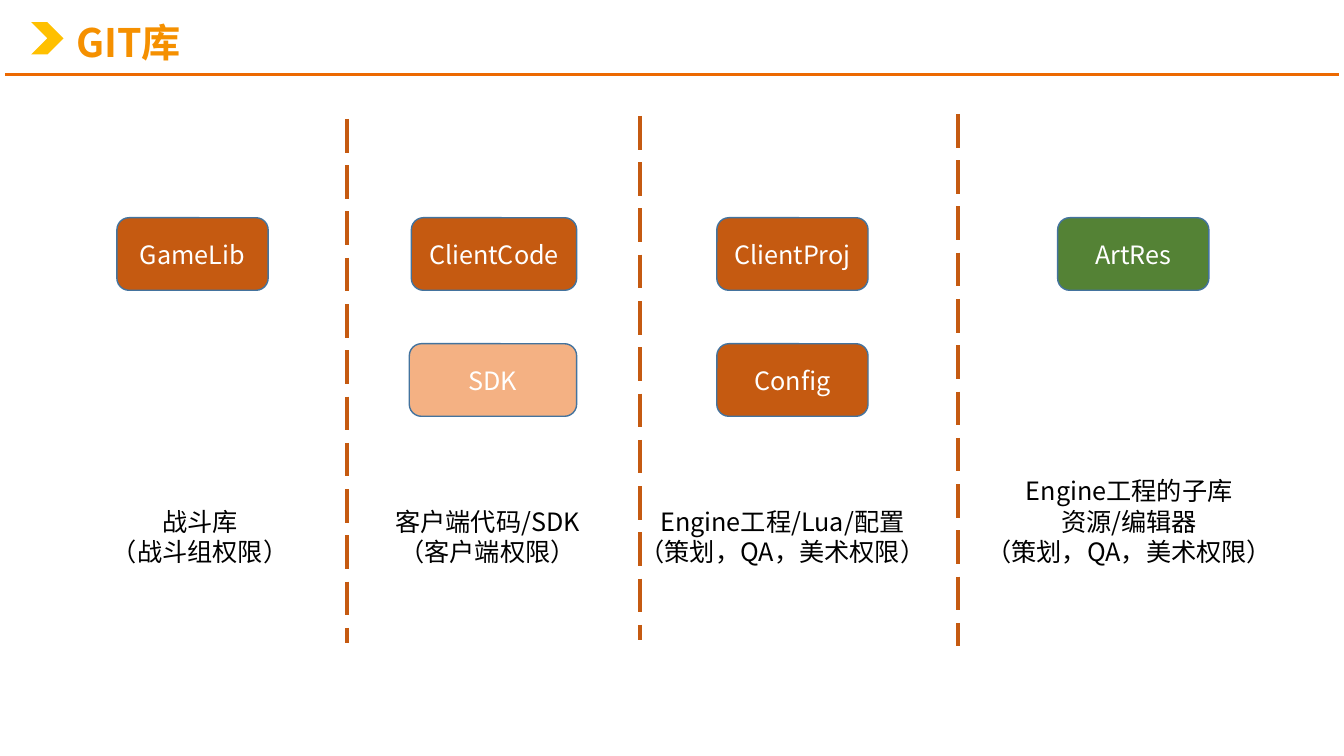
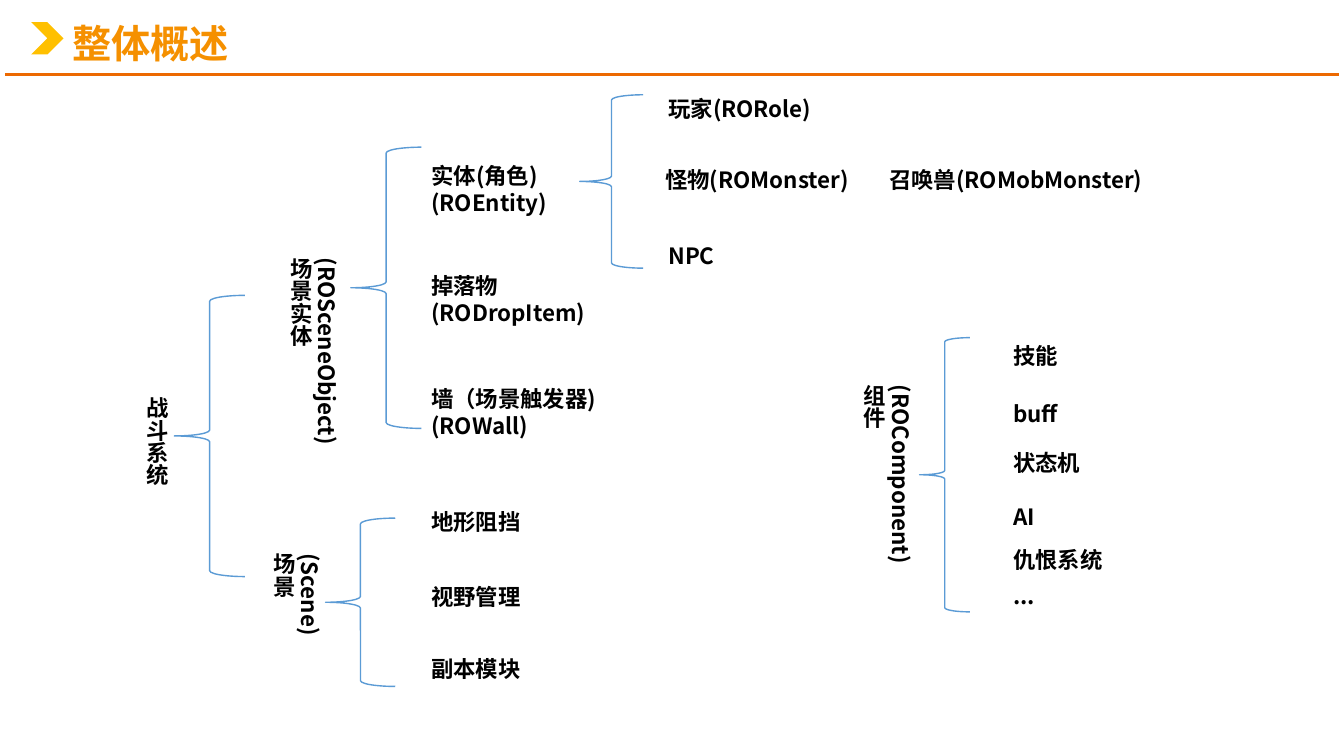
from pptx import Presentation
from pptx.dml.color import RGBColor as RGB
from pptx.enum.dml import MSO_LINE as Dash
from pptx.enum.shapes import MSO_CONNECTOR as Conn, MSO_SHAPE as Kind
from pptx.enum.text import MSO_ANCHOR as Anchor, PP_ALIGN as Align
from pptx.oxml.ns import qn
from pptx.util import Inches, Pt
from lxml.etree import SubElement

FACE = "Noto Sans CJK SC"
HUES = {
    "title": "F59000", "rule": "EC6901", "mark": "FFC000",
    "repo": "C55A11", "sdk": "F4B183", "art": "548235",
    "edge": "43739E", "brace": "5B9BD5", "text": "000000", "white": "FFFFFF",
}
STYLES = {
    "title": ({"size": Pt(28), "bold": True}, "title", {"line_spacing": 0.9}),
    "repo": ({"size": Pt(18)}, "white", {"alignment": Align.CENTER}),
    "note": ({"size": Pt(18)}, "text", {"alignment": Align.CENTER}),
    "node": ({"size": Pt(16), "bold": True}, "text", {"alignment": Align.LEFT}),
}

ROWS = (2.16, 3.41)
REPOS = [
    ("GameLib", 1.16, 0, 1.5, "repo"),
    ("ClientCode", 4.08, 0, 1.64, "repo"),
    ("SDK", 4.06, 1, 1.66, "sdk"),
    ("ClientProj", 7.11, 0, 1.5, "repo"),
    ("Config", 7.11, 1, 1.5, "repo"),
    ("ArtRes", 10.49, 0, 1.5, "art"),
]
WALLS = [(3.44, 1.18, 6.38), (6.35, 1.15, 6.35), (9.5, 1.13, 6.41)]
NOTES = [
    (["战斗库", "（战斗组权限）"], 1, 4.97, 1.97),
    (["客户端代码/SDK", "（客户端权限）"], 3.8, 4.97, 2.07),
    (["Engine工程/Lua/配置", "（策划，QA，美术权限）"], 6.21, 4.97, 3.1),
    (["Engine工程的子库", "资源/编辑器", "（策划，QA，美术权限）"], 9.65, 4.67, 3.1),
]

STEMS = [
    (["战斗系统"], 1.26, 3.84, 0.48, 2.42),
    (["(ROSceneObject)", "场景实体"], 2.69, 2.46, 0.74, 2.56),
    (["(Scene)", "场景"], 2.52, 5.39, 0.74, 1.42),
    (["(ROComponent)", "组件"], 8.38, 3.72, 0.74, 2.01),
]
BRACES = [
    (1.73, 2.93, 0.7, 2.79),
    (3.48, 1.46, 0.7, 2.79),
    (3.23, 5.14, 0.69, 1.67),
    (5.75, 0.94, 0.63, 1.72),
    (9.12, 3.35, 0.5, 2.72),
]
LEAVES = [
    (4.18, 2.2, [
        (1.56, ["实体(角色)", "(ROEntity)"]),
        (2.65, ["掉落物", "(RODropItem)"]),
        (3.77, ["墙（场景触发器)", "(ROWall)"]),
        (4.99, ["地形阻挡"]),
        (5.74, ["视野管理"]),
        (6.45, ["副本模块"]),
    ]),
    (6.53, 2.41, [(0.89, ["玩家(RORole)"]), (2.35, ["NPC"])]),
    (6.5, 2.18, [(1.6, ["怪物(ROMonster)"])]),
    (8.72, 3.02, [(1.6, ["召唤兽(ROMobMonster)"])]),
    (9.95, 1.75, [
        (3.35, ["技能"]),
        (3.92, ["buff"]),
        (4.41, ["状态机"]),
        (4.94, ["AI"]),
        (5.37, ["仇恨系统"]),
        (5.73, ["..."]),
    ]),
]


def hue(name):
    return RGB.from_string(HUES[name])


def apply(thing, fmt):
    for key, val in fmt.items():
        setattr(thing, key, val)


def write(shape, lines, style, anchor=Anchor.TOP):
    font, ink, para = STYLES[style]
    frame = shape.text_frame
    apply(frame, {"word_wrap": True, "vertical_anchor": anchor})
    frame.text = "\n".join(lines)
    for part in frame.paragraphs:
        apply(part, para)
        for run in part.runs:
            apply(run.font, {"name": FACE, **font})
            run.font.color.rgb = hue(ink)
            SubElement(run._r.get_or_add_rPr(), qn("a:ea"), typeface=FACE)


def label(slide, lines, box, style, anchor=Anchor.TOP):
    shape = slide.shapes.add_textbox(*map(Inches, box))
    write(shape, lines, style, anchor)
    return shape


def draw(slide, kind, box, fill=None, edge=None):
    shape = slide.shapes.add_shape(kind, *map(Inches, box))
    shape.shadow.inherit = False
    if fill:
        shape.fill.solid()
        shape.fill.fore_color.rgb = hue(fill)
    else:
        shape.fill.background()
    if edge:
        shape.line.color.rgb = hue(edge)
        shape.line.width = Pt(1)
    else:
        shape.line.fill.background()
    return shape


def rule(slide, ends, ink, width, dash=None):
    line = slide.shapes.add_connector(Conn.STRAIGHT, *map(Inches, ends))
    line.line.color.rgb = hue(ink)
    apply(line.line, {"width": Pt(width), "dash_style": dash})
    SubElement(line._element.spPr, qn("a:effectLst"))


def start(deck, title, box):
    slide = deck.slides.add_slide(deck.slide_layouts[6])
    rule(slide, (0.05, 0.74, 13.28, 0.74), "rule", 2)
    draw(slide, Kind.CHEVRON, (0.31, 0.22, 0.32, 0.32), "mark")
    label(slide, [title], box, "title", Anchor.MIDDLE)
    return slide


def repos(deck):
    slide = start(deck, "GIT库", (0.66, 0.13, 10.46, 0.63))
    for name, left, row, width, fill in REPOS:
        box = (left, ROWS[row], width, 0.72)
        shape = draw(slide, Kind.ROUNDED_RECTANGLE, box, fill, "edge")
        write(shape, [name], "repo", Anchor.MIDDLE)
    for left, top, end in WALLS:
        rule(slide, (left, top, left, end), "repo", 3, Dash.LONG_DASH)
    for lines, left, top, width in NOTES:
        label(slide, lines, (left, top, width, 0.1 + 0.3 * len(lines)), "note")


def tree(deck):
    slide = start(deck, "整体概述", (0.62, 0.14, 5.61, 0.63))
    for box in BRACES:
        draw(slide, Kind.LEFT_BRACE, box, edge="brace")
    for lines, *box in STEMS:
        shape = label(slide, lines, box, "node")
        shape.text_frame._txBody.bodyPr.set("vert", "eaVert")
    for left, width, items in LEAVES:
        for top, lines in items:
            box = (left, top, width, 0.1 + 0.27 * len(lines))
            label(slide, lines, box, "node")


def main():
    deck = Presentation()
    apply(deck, {"slide_width": Inches(13.33), "slide_height": Inches(7.5)})
    repos(deck)
    tree(deck)
    deck.save("out.pptx")


if __name__ == "__main__":
    main()
